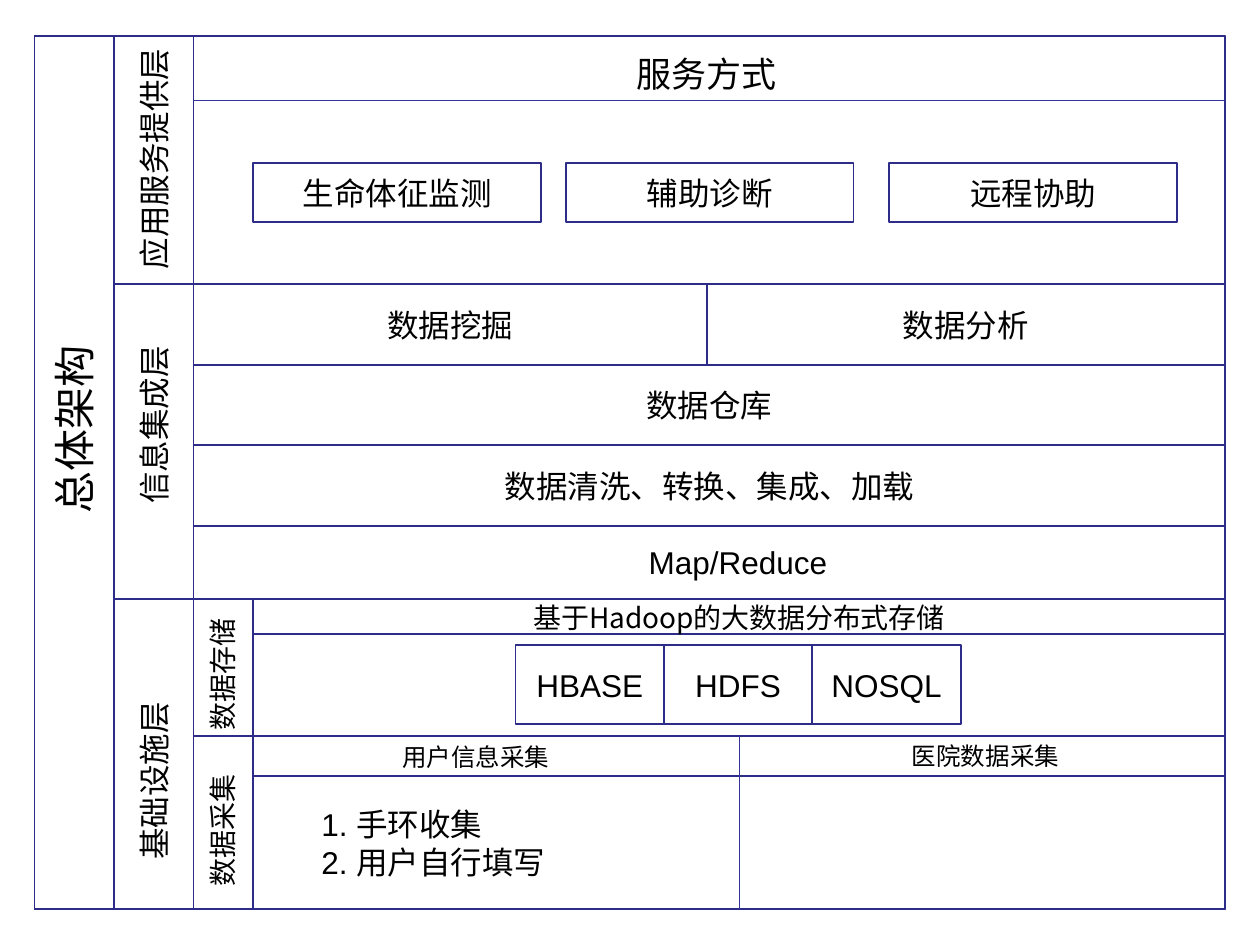
from lxml import etree
from pptx import Presentation
from pptx.dml.color import RGBColor
from pptx.enum.shapes import MSO_CONNECTOR, MSO_SHAPE
from pptx.enum.text import MSO_ANCHOR, MSO_AUTO_SIZE, PP_ALIGN
from pptx.oxml.ns import qn
from pptx.util import Pt

RECTANGLE = MSO_SHAPE.RECTANGLE
STRAIGHT = MSO_CONNECTOR.STRAIGHT
CENTER = PP_ALIGN.CENTER
LEFT = PP_ALIGN.LEFT
MIDDLE = MSO_ANCHOR.MIDDLE
FIT_SHAPE = MSO_AUTO_SIZE.SHAPE_TO_FIT_TEXT

BLACK = RGBColor(0x00, 0x00, 0x00)
WHITE = RGBColor(0xFF, 0xFF, 0xFF)
NAVY = RGBColor(0x2D, 0x2D, 0x89)
INDIGO = RGBColor(0x33, 0x33, 0x99)
CJK = "Noto Sans CJK SC"
LATIN = "Arial"

prs = Presentation()
prs.slide_width, prs.slide_height = Pt(720), Pt(540)
slide = prs.slides.add_slide(prs.slide_layouts[6])
shapes = slide.shapes


def write(frame, text, size, font, align):
    frame.text = text
    for paragraph in frame.paragraphs:
        paragraph.alignment = align
        paragraph.font.size = Pt(size)
        paragraph.font.name = font
        paragraph.font.color.rgb = BLACK
        for properties in paragraph._p.iter(qn("a:defRPr")):
            etree.SubElement(properties, qn("a:ea"), typeface=CJK)


def add_box(left, top, right, bottom, text="", size=18, font=CJK):
    box = shapes.add_shape(RECTANGLE, Pt(left), Pt(top),
                           Pt(right - left), Pt(bottom - top))
    box.shadow.inherit = False
    box.fill.solid()
    box.fill.fore_color.rgb = WHITE
    box.line.color.rgb = NAVY
    box.line.width = Pt(1)
    if text:
        box.text_frame.vertical_anchor = MIDDLE
        write(box.text_frame, text, size, font, CENTER)
    return box


# Shared edges of the grid
outer_x, layer_x, content_x, detail_x, right = 19.7, 65, 110.6, 144.7, 700
top, integration_y, storage_y, collection_y, bottom = 20.4, 162.2, 342.5, 420.5, 519.4

# Overall column and the three layers
add_box(outer_x, top, right, bottom)
add_box(outer_x, top, layer_x, bottom)
for layer_top, layer_bottom in ((top, integration_y), (integration_y, storage_y),
                                (storage_y, bottom)):
    add_box(layer_x, layer_top, content_x, layer_bottom)
    add_box(content_x, layer_top, right, layer_bottom)

# Application services
for left, service in ((144.7, "生命体征监测"), (323.3, "辅助诊断"), (508.2, "远程协助")):
    add_box(left, 93.2, left + 164.4, 127, service)

# Information integration
mining_right = 403.9
warehouse_y, cleaning_y, mapreduce_y = 208.6, 254.5, 300.5
add_box(content_x, integration_y, mining_right, warehouse_y, "数据挖掘")
add_box(mining_right, integration_y, right, warehouse_y, "数据分析")
add_box(content_x, warehouse_y, right, cleaning_y, "数据仓库")
add_box(content_x, cleaning_y, right, mapreduce_y, "数据清洗、转换、集成、加载")
add_box(content_x, mapreduce_y, right, storage_y)

# Data storage
add_box(content_x, storage_y, detail_x, collection_y)
add_box(detail_x, storage_y, right, collection_y)
add_box(detail_x, storage_y, right, 362.5, "基于Hadoop的大数据分布式存储", 16)
store_width = 84.8
for i, store in enumerate(("HBASE", "HDFS", "NOSQL")):
    left = 294.6 + i * store_width
    add_box(left, 368.6, left + store_width, 413.8, store, font=LATIN)

# Data collection
add_box(content_x, collection_y, detail_x, bottom)
methods = add_box(detail_x, 443.5, right, bottom)
sources = add_box(detail_x, collection_y, right, 443.5)

# Thin dividers
service_rule = shapes.add_connector(STRAIGHT, Pt(content_x), Pt(57.4), Pt(right), Pt(57.4))
source_rule = shapes.add_connector(STRAIGHT, 0, 0, 0, 0)
source_rule.begin_connect(sources, 0)
source_rule.end_connect(methods, 2)
for rule in (service_rule, source_rule):
    rule.line.color.rgb = INDIGO
    rule.line.width = Pt(0.5)
    etree.SubElement(rule._element.spPr, qn("a:effectLst"))

# Labels turned to read upwards: text, left, top, width, height, size
upright_labels = (
    ("总体架构", -15, 225.5, 114.2, 36, 24),
    ("应用服务提供层", 16, 74.3, 144.4, 28.8, 18),
    ("信息集成层", 34, 226.2, 108.4, 28.8, 18),
    ("基础设施层", 17.3, 413.3, 141.1, 28.8, 18),
    ("数据存储", 86.6, 370.2, 81.8, 26.6, 16),
    ("数据采集", 86.6, 459.5, 81.8, 26.6, 16),
)
# Level labels: the same, then the font
level_labels = (
    ("服务方式", 356.4, 26.2, 98, 31.7, 20, CJK),
    ("Map/Reduce", 363.6, 307, 124, 28.8, 18, LATIN),
    ("用户信息采集", 222.7, 420.5, 103, 24.5, 14, CJK),
    ("医院数据采集", 514, 419.8, 103, 24.5, 14, CJK),
    ("1. 手环收集\n2. 用户自行填写", 176.6, 456.5, 152, 50.4, 18, LATIN),
)
turned = [(*label, CJK, 270) for label in upright_labels]
level = [(*label, 0) for label in level_labels]
for text, left, label_top, width, height, size, font, rotation in turned + level:
    label = shapes.add_textbox(Pt(left), Pt(label_top), Pt(width), Pt(height))
    label.rotation = rotation
    # Boxes are wide enough for their lines and keep their left edge
    label.text_frame.word_wrap = True
    label.text_frame.auto_size = FIT_SHAPE
    write(label.text_frame, text, size, font, LEFT)

prs.save("out.pptx")
